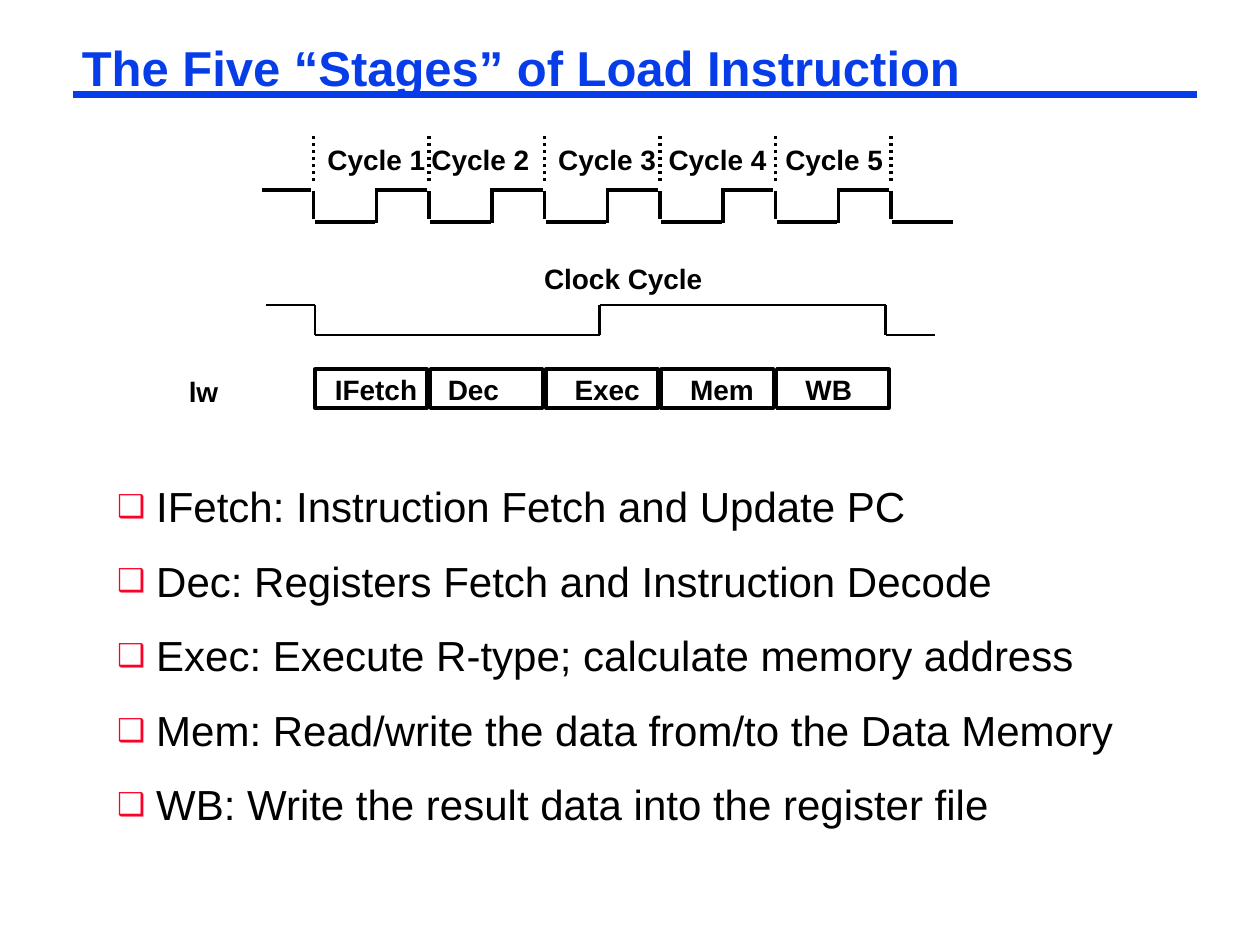
from lxml.etree import SubElement
from pptx import Presentation
from pptx.dml.color import RGBColor
from pptx.enum.dml import MSO_LINE
from pptx.enum.shapes import MSO_CONNECTOR, MSO_SHAPE
from pptx.enum.text import MSO_ANCHOR, MSO_AUTO_SIZE
from pptx.oxml.ns import qn
from pptx.util import Inches, Pt

BLUE, BLACK, RED = "063DE8", "000000", "FC0128"
CELL = 0.1  # inches per grid column and row; the slide has 100 by 75


def color(hex_code):
    return RGBColor.from_string(hex_code)


def cells(count):
    return Inches(count * CELL)


class SlideWriter:
    font_name = "Arial"

    def __init__(self, deck):
        self.slide = deck.slides.add_slide(deck.slide_layouts[5])
        self.shapes = self.slide.shapes

    def style(self, para, size, hex_code=BLACK, bold=False):
        para.font.name = self.font_name
        para.font.size = Pt(size)
        para.font.bold = bold
        para.font.color.rgb = color(hex_code)

    def frame(self, box, side, edge, wrap=False):
        frame = box.text_frame
        frame.margin_left = frame.margin_right = cells(side)
        frame.margin_top = frame.margin_bottom = cells(edge)
        frame.vertical_anchor = MSO_ANCHOR.TOP
        frame.word_wrap = wrap
        frame.auto_size = MSO_AUTO_SIZE.NONE
        return frame

    def title(self, text, left, top, width, height):
        box = self.shapes.title
        box.left, box.top = cells(left), cells(top)
        box.width, box.height = cells(width), cells(height)
        frame = self.frame(box, 0.7, 0.3)
        frame.text = text
        para = frame.paragraphs[0]
        para.alignment = 1  # left
        para.line_spacing = 0.87
        self.style(para, 28, BLUE, bold=True)

    def label(self, text, left, top, width):
        box = self.shapes.add_textbox(*map(cells, (left, top, width, 3.6)))
        frame = self.frame(box, 1, 0.5)
        frame.text = text
        self.style(frame.paragraphs[0], 16, bold=True)

    def line(self, start, end, weight=2, hex_code=BLACK, dash=None):
        line = self.shapes.add_connector(
            MSO_CONNECTOR.STRAIGHT, *map(cells, (*start, *end)))
        line.line.color.rgb = color(hex_code)
        line.line.width = Pt(weight)
        if dash:
            line.line.dash_style = dash
        SubElement(line._element.spPr, qn("a:effectLst"))

    def trace(self, points, weight):
        for start, end in zip(points, points[1:]):
            self.line(start, end, weight)

    def frame_box(self, left, top, width, height):
        box = self.shapes.add_shape(
            MSO_SHAPE.RECTANGLE, *map(cells, (left, top, width, height)))
        box.shadow.inherit = False
        box.fill.background()
        box.line.color.rgb = color(BLACK)
        box.line.width = Pt(2)

    def bullets(self, items, left, top, width, height):
        box = self.shapes.add_textbox(*map(cells, (left, top, width, height)))
        frame = self.frame(box, 0.7, 0.3, wrap=True)
        for index, item in enumerate(items):
            para = frame.add_paragraph() if index else frame.paragraphs[0]
            para.text = item
            para.line_spacing = 0.9
            para.space_after = Pt(16.7)
            self.style(para, 24)
            self.bullet(para)

    def bullet(self, para):
        props = para._p.get_or_add_pPr()
        props.set("marL", str(cells(3.1)))
        props.set("indent", str(-cells(3.1)))
        marks = [SubElement(props, qn("a:buClr")),
                 SubElement(props, qn("a:buSzPct"), val="75000"),
                 SubElement(props, qn("a:buFont"), typeface=self.font_name),
                 SubElement(props, qn("a:buChar"), char="❑")]
        SubElement(marks[0], qn("a:srgbClr"), val=RED)
        # Bullet marks come before the default run properties
        default_run = props.find(qn("a:defRPr"))
        for mark in marks:
            default_run.addprevious(mark)


def main():
    deck = Presentation()
    deck.slide_width, deck.slide_height = cells(100), cells(75)
    page = SlideWriter(deck)

    # Title and rule
    page.line((5.8, 7.5), (95, 7.5), 4.5, BLUE)
    page.title("The Five “Stages” of Load Instruction", 5.8, 3.3, 72.3, 4.7)

    # Fast clock: one falling edge per cycle, with dotted markers above
    first_edge, cycle, high, low = 24.9, 9.16, 15.1, 17.6
    edges = [first_edge + cycle * index for index in range(6)]
    page.line((20.8, high), (24.7, high))
    for edge in edges:
        page.line((edge, 14.4), (edge, 10.8), dash=MSO_LINE.ROUND_DOT)
        page.line((edge, high + 0.1), (edge, low - 0.2))
        page.line((edge + 0.1, low), (edge + 4.9, low))
    for edge in edges[:-1]:
        page.line((edge + 5, low + 0.1), (edge + 5, high - 0.2))
        page.line((edge + 5.1, high), (edge + 9, high))

    # Stage boxes with cycle labels: name, name offset, cycle label offset
    stages = [("IFetch", 0.7, 0.1), ("Dec", 0.5, -0.8), ("Exec", 1.4, 0.1),
              ("Mem", 1.4, -0.3), ("WB", 1.4, -0.2)]
    for number, (edge, stage) in enumerate(zip(edges, stages), 1):
        name, name_offset, cycle_offset = stage
        page.label(f"Cycle {number}", edge + cycle_offset, 10.8, 9.8)
        page.frame_box(edge + 0.1, 29.3, 8.9, 3.1)
        page.label(name, edge + name_offset, 29.1, 8.5)
    page.label("lw", 14, 29.2, 4.3)

    # Slow clock: one cycle spans the whole instruction
    page.label("Clock Cycle", 42.2, 20.3, 14.7)
    high, low = 24.2, 26.6
    page.trace([(21.1, high), (25, high), (25, low), (47.6, low),
                (47.6, high), (70.3, high), (70.3, low), (74.2, low)], 1.5)

    # Stage descriptions
    page.bullets(["IFetch: Instruction Fetch and Update PC",
                  "Dec: Registers Fetch and Instruction Decode",
                  "Exec: Execute R-type; calculate memory address",
                  "Mem: Read/write the data from/to the Data Memory",
                  "WB: Write the result data into the register file"],
                 8.6, 38.3, 82.9, 28.9)

    deck.save("out.pptx")


if __name__ == "__main__":
    main()
